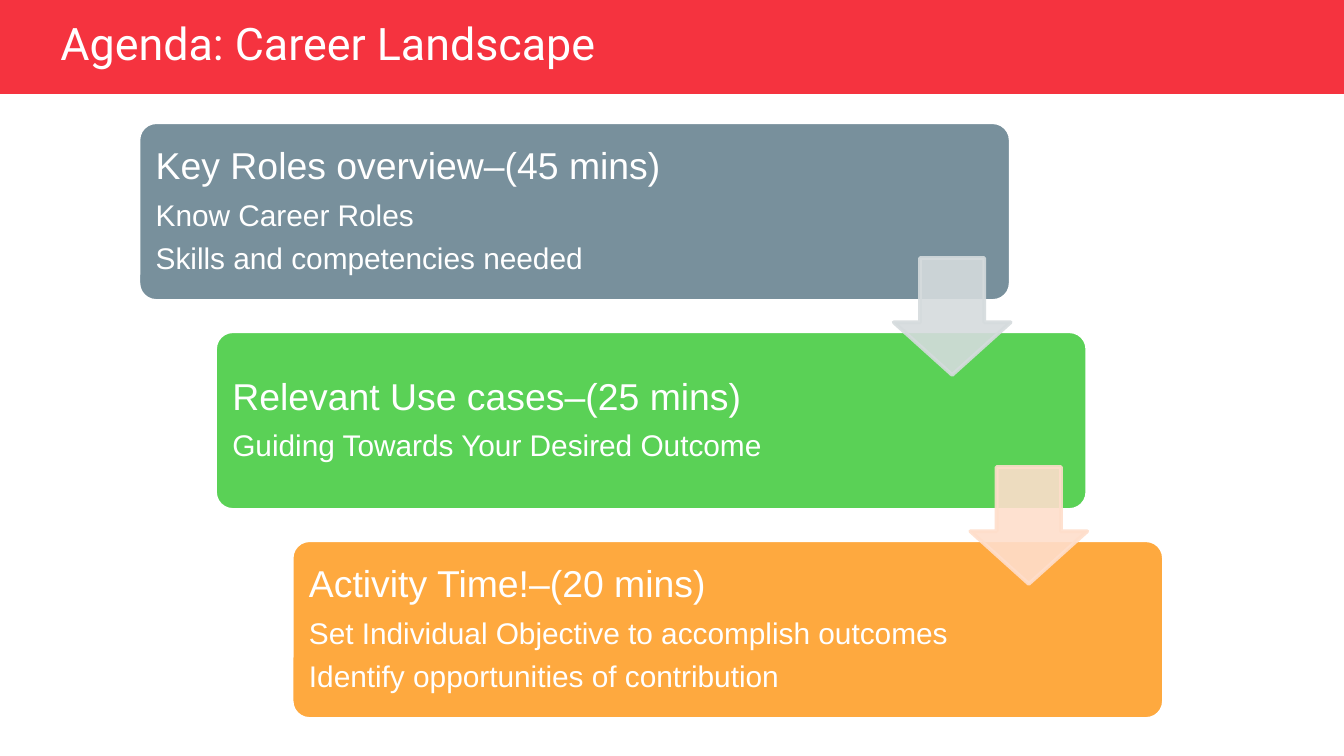
from dataclasses import dataclass

from lxml import etree
from pptx import Presentation
from pptx import util as u
from pptx.dml.color import RGBColor
from pptx.enum import shapes, text
from pptx.oxml.ns import qn

HUES = {
    "white": "FFFFFF",
    "red": "F5333F",
    "slate": "78909C",
    "green": "5AD156",
    "orange": "FEA93F",
    "mist": "D5DBDD",
    "peach": "FEDECB",
}
LEFT, TOP = 1.03, 0.91
STEP, DROP = 0.57, 3.11 / 2
WIDE, HIGH = 6.49, 1.33
SIDE = 0.87


@dataclass
class Stage:
    head: str
    items: list[str]
    hue: str
    right: float


@dataclass
class Arrow:
    hue: str


STAGES = [
    Stage("Key Roles overview–(45 mins)",
          ["Know Career Roles", "Skills and competencies needed"], "slate", 1.46),
    Stage("Relevant Use cases–(25 mins)",
          ["Guiding Towards Your Desired Outcome"], "green", 1.53),
    Stage("Activity Time!–(20 mins)",
          ["Set Individual Objective to accomplish outcomes",
           "Identify opportunities of contribution"], "orange", 1.53),
]
ARROWS = [Arrow("mist"), Arrow("peach")]


def tint(hue: str) -> RGBColor:
    return RGBColor.from_string(HUES[hue])


def shape(slide, kind, left: float, top: float, wide: float, high: float, hue: str):
    item = slide.shapes.add_shape(
        kind, u.Inches(left), u.Inches(top), u.Inches(wide), u.Inches(high))
    item.shadow.inherit = False
    item.fill.solid()
    item.fill.fore_color.rgb = tint(hue)
    return item


def edge(item, hue: str) -> None:
    item.line.color.rgb = tint(hue)
    item.line.width = u.Pt(2)


def style(para, font: str, size: float) -> None:
    para.alignment = text.PP_ALIGN.LEFT
    para.line_spacing = 0.9
    for run in para.runs:
        run.font.name = font
        run.font.size = u.Pt(size)
        run.font.color.rgb = tint("white")


def draw_band(slide) -> None:
    band = shape(slide, shapes.MSO_SHAPE.RECTANGLE, 0, 0, 10, 0.7, "red")
    band.line.fill.background()
    slide.shapes.title._element.addprevious(band._element)


def draw_title(slide) -> None:
    title = slide.shapes.title
    title.left, title.top = u.Inches(0.35), u.Inches(0.13)
    title.width, title.height = u.Inches(8.32), u.Inches(0.42)
    frame = title.text_frame
    frame.text = "Agenda: Career Landscape"
    frame.auto_size = text.MSO_AUTO_SIZE.NONE
    frame.vertical_anchor = text.MSO_ANCHOR.MIDDLE
    style(frame.paragraphs[0], "Roboto", 24)


def draw_stage(slide, stage: Stage, row: int) -> None:
    box = shape(slide, shapes.MSO_SHAPE.ROUNDED_RECTANGLE,
                LEFT + STEP * row, TOP + DROP * row, WIDE, HIGH, stage.hue)
    box.adjustments[0] = 0.1
    edge(box, "white")
    frame = box.text_frame
    frame.word_wrap = True
    frame.vertical_anchor = text.MSO_ANCHOR.MIDDLE
    frame.margin_left = frame.margin_top = frame.margin_bottom = u.Inches(0.09)
    frame.margin_right = u.Inches(stage.right)
    frame.text = "\n".join([stage.head, *stage.items])
    for spot, para in enumerate(frame.paragraphs):
        style(para, "Arial", 16 if spot else 20)
        para.space_before = u.Pt((0, 7, 5.6)[spot])


def draw_arrow(slide, arrow: Arrow, row: int) -> None:
    item = shape(slide, shapes.MSO_SHAPE.DOWN_ARROW,
                 LEFT + WIDE - SIDE + STEP * row, TOP + 1.01 + DROP * row,
                 SIDE, SIDE, arrow.hue)
    item.adjustments[0] = 0.55
    item.adjustments[1] = 0.45
    edge(item, arrow.hue)
    for color in item._element.spPr.iter(qn("a:srgbClr")):
        etree.SubElement(color, qn("a:alpha"), val="90000")


def main() -> None:
    deck = Presentation()
    deck.slide_width = u.Inches(10)
    deck.slide_height = deck.slide_width * 9 // 16
    slide = deck.slides.add_slide(deck.slide_layouts[5])
    draw_band(slide)
    draw_title(slide)
    for row, stage in enumerate(STAGES):
        draw_stage(slide, stage, row)
    for row, arrow in enumerate(ARROWS):
        draw_arrow(slide, arrow, row)
    deck.save("out.pptx")


if __name__ == "__main__":
    main()
